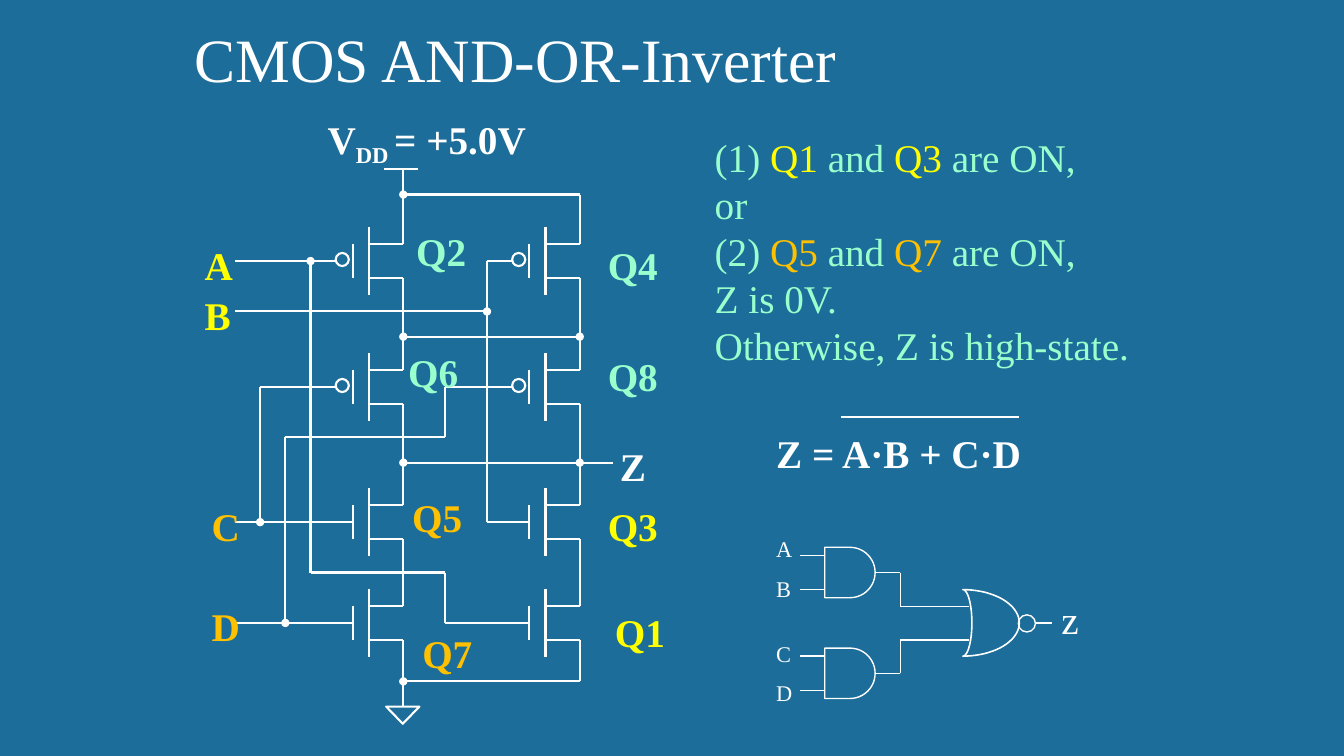
from math import cos, pi, sin

from lxml import etree
from pptx import Presentation
from pptx.dml.color import RGBColor
from pptx.enum import shapes, text
from pptx.oxml import ns
from pptx.util import Inches, Pt

BLUE = RGBColor(0x1C, 0x6D, 0x9A)
WHITE = RGBColor(0xFF, 0xFF, 0xFF)
YELLOW = RGBColor(0xFF, 0xFF, 0x00)
ORANGE = RGBColor(0xFF, 0xC0, 0x00)
MINT = RGBColor(0x99, 0xFF, 0xCC)
FONT = "Times New Roman"

# Transistor columns (drain line) and rows (gate height)
LEFT, RIGHT = 4, 5.75
ROW_A, ROW_C, ROW_N, ROW_D = 2.59, 3.84, 5.18, 6.18
HALF = 0.17  # half of a channel

# Wires of the circuit: corner points, dot at start, dot at end
WIRES = [
    # Supply and ground
    ([(3.81, 1.68), (4.15, 1.68)], False, False),
    ([(LEFT, 1.68), (LEFT, ROW_A - HALF)], False, False),
    ([(LEFT, 1.93), (RIGHT, 1.93), (RIGHT, ROW_A - HALF)], True, False),
    ([(LEFT, ROW_D + HALF), (LEFT, 7.01)], False, False),
    ([(LEFT, 6.76), (RIGHT, 6.76), (RIGHT, ROW_D + HALF)], True, False),
    # Input A
    ([(2.33, ROW_A), (3.33, ROW_A)], False, False),
    ([(3.08, ROW_A), (3.08, 5.68), (4.41, 5.68), (4.41, ROW_D),
      (5.25, ROW_D)], True, False),
    # Input B
    ([(2.33, 3.09), (4.83, 3.09)], False, True),
    ([(5.08, ROW_A), (4.83, ROW_A), (4.83, ROW_N), (5.25, ROW_N)], False, False),
    # Input C
    ([(2.33, ROW_N), (3.5, ROW_N)], False, False),
    ([(2.58, ROW_N), (2.58, ROW_C), (3.33, ROW_C)], True, False),
    # Input D
    ([(2.33, ROW_D), (3.5, ROW_D)], False, False),
    ([(2.83, ROW_D), (2.83, 4.34), (4.41, 4.34), (4.41, ROW_C),
      (5.08, ROW_C)], True, False),
    # Cross links and output Z
    ([(LEFT, 3.34), (RIGHT, 3.34)], True, True),
    ([(LEFT, 4.59), (RIGHT, 4.59)], True, True),
    ([(RIGHT, 4.59), (6.08, 4.59)], False, False),
]

LABELS = [
    ("A", 1.93, 2.34, YELLOW), ("B", 1.93, 2.84, YELLOW),
    ("C", 2, 4.93, ORANGE), ("D", 2, 5.93, ORANGE), ("Z", 6.05, 4.34, WHITE),
    ("Q1", 6, 5.99, YELLOW), ("Q2", 4.03, 2.21, MINT),
    ("Q3", 5.93, 4.93, YELLOW), ("Q4", 5.93, 2.34, MINT),
    ("Q5", 3.99, 4.84, ORANGE), ("Q6", 3.95, 3.41, MINT),
    ("Q7", 4.09, 6.19, ORANGE), ("Q8", 5.93, 3.45, MINT),
]

CONDITIONS = [
    [("(1) ", MINT), ("Q1 ", YELLOW), ("and ", MINT), ("Q3 ", YELLOW),
     ("are ON,", MINT)],
    [("or", MINT)],
    [("(2) ", MINT), ("Q5", ORANGE), (" and ", MINT), ("Q7", ORANGE),
     (" are ON,", MINT)],
    [("Z is 0V.", MINT)],
    [("Otherwise, Z is high-state.", MINT)],
]


def add_run(paragraph, words, color, size=28, bold=False):
    run = paragraph.add_run()
    run.text = words
    run.font.name, run.font.size, run.font.bold = FONT, Pt(size), bold
    run.font.color.rgb = color
    return run


def add_text(slide, left, top, width, height, lines, size=28, bold=False,
             wrap=True):
    """Each line is a list of (words, color) runs."""
    box = slide.shapes.add_textbox(*map(Inches, (left, top, width, height)))
    frame = box.text_frame
    frame.word_wrap = wrap
    frame.auto_size = text.MSO_AUTO_SIZE.SHAPE_TO_FIT_TEXT
    for index, line in enumerate(lines):
        paragraph = frame.add_paragraph() if index else frame.paragraphs[0]
        for words, color in line:
            add_run(paragraph, words, color, size, bold)
    return frame.paragraphs


def add_wire(slide, points, dot_start=False, dot_end=False, weight=1.5):
    """Draw straight segments through the points; return them."""
    segments = []
    for start, end in zip(points, points[1:]):
        segment = slide.shapes.add_connector(
            shapes.MSO_CONNECTOR.STRAIGHT, *map(Inches, (*start, *end)))
        segment.line.color.rgb = WHITE
        segment.line.width = Pt(weight)
        etree.SubElement(segment._element.spPr, ns.qn("a:effectLst"))
        segments.append(segment)
    for wanted, segment, tag in ((dot_start, segments[0], "a:headEnd"),
                                 (dot_end, segments[-1], "a:tailEnd")):
        if wanted:
            outline = segment.line._get_or_add_ln()
            etree.SubElement(outline, ns.qn(tag), type="oval")
    return segments


def outline_only(shape, weight):
    shape.shadow.inherit = False
    shape.fill.background()
    shape.line.color.rgb = WHITE
    shape.line.width = Pt(weight)
    return shape


def add_outline(slide, kind, left, top, width, height, weight):
    shape = slide.shapes.add_shape(
        kind, *map(Inches, (left, top, width, height)))
    return outline_only(shape, weight)


def add_transistor(slide, x, y, p_type):
    add_wire(slide, [(x - 0.5, y - HALF), (x - 0.5, y + HALF)])
    add_wire(slide, [(x - 0.34, y - 2 * HALF), (x - 0.34, y + 2 * HALF)])
    for terminal in (y - HALF, y + HALF):
        add_wire(slide, [(x - 0.34, terminal), (x, terminal)])
    if p_type:
        add_outline(slide, shapes.MSO_SHAPE.OVAL, x - 0.67, y - 0.08,
                    0.13, 0.13, 1.5)


def add_and_gate(slide, y, nor_input):
    gate = add_outline(slide, shapes.MSO_SHAPE.FLOWCHART_DELAY,
                       8.18, y - 0.25, 0.5, 0.5, 1)
    for pin in (y - 0.17, y + 0.17):
        add_wire(slide, [(7.93, pin), (8.18, pin)], weight=1)
    output = add_wire(slide, [(8.68, y), (8.93, y), (8.93, nor_input),
                              (9.61, nor_input)], weight=1)
    output[0].begin_connect(gate, 3)


def add_nor_gate(slide):
    x, y, half = 9.55, 6.18, 0.33
    angles = [pi * step / 40 - pi / 2 for step in range(41)]
    front = [(x + 0.56 * cos(a), y + half * sin(a)) for a in angles]
    back = [(x + 0.09 * cos(a), y + half * sin(a)) for a in reversed(angles)]
    corners = [(Inches(px), Inches(py)) for px, py in front + back]
    builder = slide.shapes.build_freeform(*corners[0])
    builder.add_line_segments(corners[1:], close=True)
    outline_only(builder.convert_to_shape(), 1.13)
    add_outline(slide, shapes.MSO_SHAPE.OVAL, 10.1, 6.1, 0.17, 0.17, 1)
    add_wire(slide, [(10.27, y), (10.43, y)], weight=1)


def add_title(slide, words):
    title = slide.shapes.title
    title.left, title.top = Inches(1.83), Inches(0.16)
    title.width, title.height = Inches(8.5), Inches(0.83)
    title.text_frame.vertical_anchor = text.MSO_ANCHOR.BOTTOM
    paragraph = title.text_frame.paragraphs[0]
    paragraph.alignment = text.PP_ALIGN.LEFT
    add_run(paragraph, words, WHITE, 44)


def main():
    deck = Presentation()
    deck.slide_width, deck.slide_height = Inches(13.33), Inches(7.5)
    slide = deck.slides.add_slide(deck.slide_layouts[5])
    slide.background.fill.solid()
    slide.background.fill.fore_color.rgb = BLUE
    add_title(slide, "CMOS AND-OR-Inverter")

    # Transistor circuit
    for x in (LEFT, RIGHT):
        rows = (ROW_A, ROW_C, ROW_N, ROW_D)
        for y in rows:
            add_transistor(slide, x, y, p_type=y in (ROW_A, ROW_C))
        for upper, lower in zip(rows, rows[1:]):
            add_wire(slide, [(x, upper + HALF), (x, lower - HALF)])
    for points, dot_start, dot_end in WIRES:
        add_wire(slide, points, dot_start, dot_end)
    ground = add_outline(slide, shapes.MSO_SHAPE.ISOSCELES_TRIANGLE,
                         3.83, 7.01, 0.33, 0.17, 1.5)
    ground.rotation = 180

    # Circuit labels
    for words, left, top, color in LABELS:
        add_text(slide, left, top, 0.7 if len(words) > 1 else 0.48, 0.57,
                 [[(words, color)]], bold=True, wrap=False)
    supply = add_text(slide, 3.15, 1.09, 2.25, 0.57,
                      [[("V", WHITE), ("DD ", WHITE), ("= +5.0V", WHITE)]],
                      bold=True, wrap=False)
    supply[0].runs[1].font._element.set("baseline", "-25000")

    # Conditions and formula
    add_text(slide, 6.99, 1.27, 4.55, 2.46, CONDITIONS)
    add_text(slide, 7.6, 4.21, 2.99, 0.57, [[("Z = A·B + C·D", WHITE)]],
             bold=True)
    add_wire(slide, [(8.34, 4.14), (10.11, 4.14)])

    # Logic gates
    add_and_gate(slide, 5.68, 6.02)
    add_and_gate(slide, 6.68, 6.35)
    add_nor_gate(slide)
    pins = add_text(slide, 7.6, 5.26, 0.67, 1.78,
                    [[(pin, WHITE)] for pin in "ABCD"], size=16)
    for pin, gap in zip(pins[1:], (9, 27.5, 9)):
        pin.space_before = Pt(gap)
    add_text(slide, 10.43, 5.86, 0.33, 0.57, [[("z", WHITE)]])

    deck.save("out.pptx")


if __name__ == "__main__":
    main()
